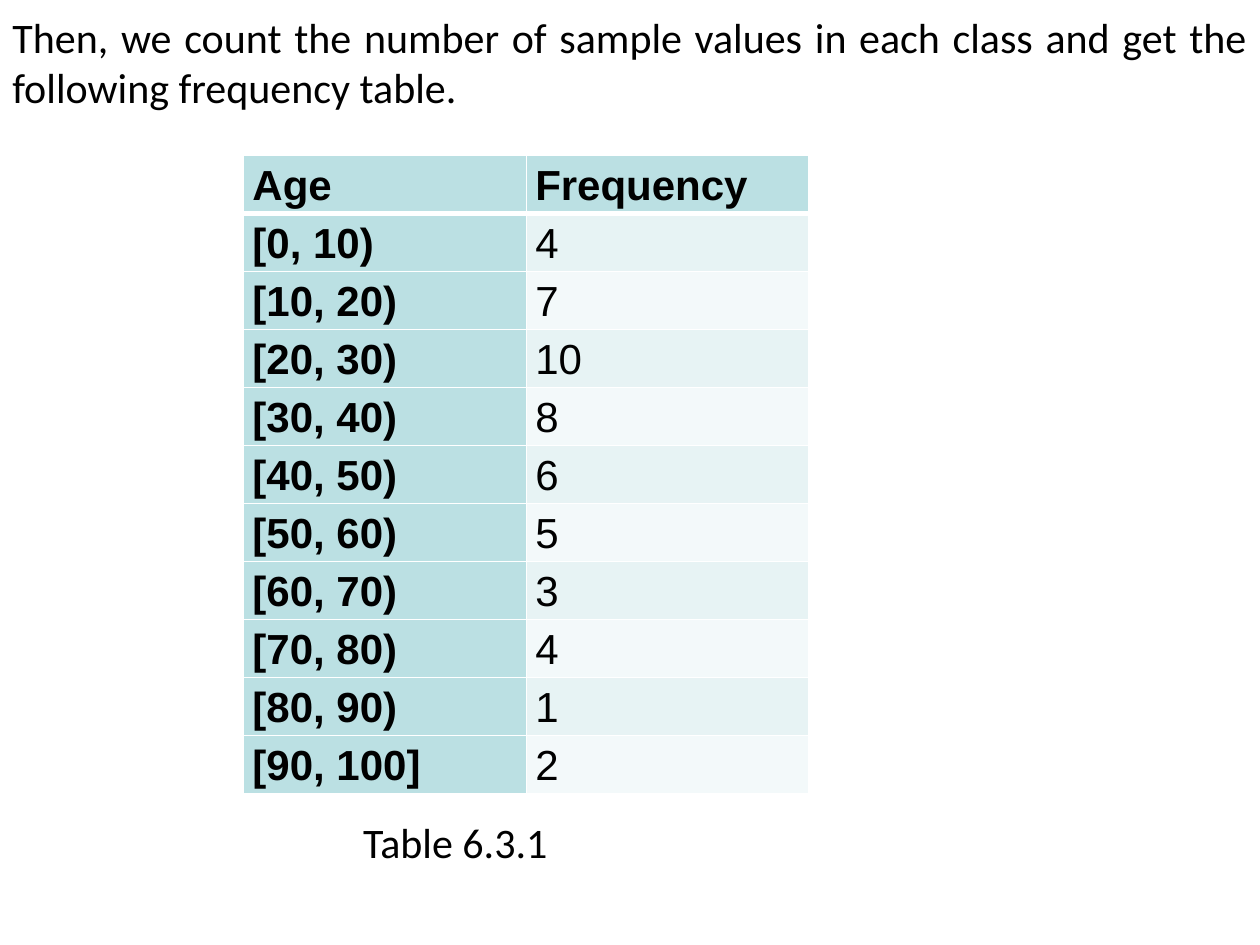
"""Build a slide showing an age frequency table with its introduction and caption."""
from lxml import etree
from pptx import Presentation
from pptx.dml.color import RGBColor
from pptx.enum.text import MSO_AUTO_SIZE, PP_ALIGN
from pptx.oxml.ns import qn
from pptx.util import Cm, Pt

JUSTIFY = PP_ALIGN.JUSTIFY
CENTER = PP_ALIGN.CENTER
FIT_SHAPE = MSO_AUTO_SIZE.SHAPE_TO_FIT_TEXT
BLACK, WHITE = "000000", "FFFFFF"
HEADER_FILL = "BBE0E3"
BAND_FILLS = ["F3F9FA", "E7F3F4"]


def color(hex_string):
    return RGBColor.from_string(hex_string)


def write(paragraph, text, font_name, alignment, bold=False):
    paragraph.alignment = alignment
    run = paragraph.add_run()
    run.text = text
    run.font.name = font_name
    run.font.size = Pt(24)
    run.font.bold = bold
    run.font.color.rgb = color(BLACK)


presentation = Presentation()
presentation.slide_width = Cm(25.4)
presentation.slide_height = Cm(19.05)
slide = presentation.slides.add_slide(presentation.slide_layouts[6])

introduction = (
    "Then, we count the number of sample values in each class "
    "and get the following frequency table."
)
for text, alignment, left, top, width, height in [
    (introduction, JUSTIFY, 0, 0.1, 25.4, 2.31),
    ("Table 6.3.1", CENTER, 2.69, 16.33, 12.98, 1.27),
]:
    text_box = slide.shapes.add_textbox(Cm(left), Cm(top), Cm(width), Cm(height))
    text_box.text_frame.word_wrap = True
    text_box.text_frame.auto_size = FIT_SHAPE
    write(text_box.text_frame.paragraphs[0], text, "Calibri", alignment)

rows = [
    ("Age", "Frequency"),
    ("[0, 10)", "4"),
    ("[10, 20)", "7"),
    ("[20, 30)", "10"),
    ("[30, 40)", "8"),
    ("[40, 50)", "6"),
    ("[50, 60)", "5"),
    ("[60, 70)", "3"),
    ("[70, 80)", "4"),
    ("[80, 90)", "1"),
    ("[90, 100]", "2"),
]
row_height = Cm(1.17)
table = slide.shapes.add_table(
    len(rows), 2, Cm(4.91), Cm(3.13), Cm(11.4), row_height * len(rows)
).table

for row_index, row in enumerate(rows):
    table.rows[row_index].height = row_height
    for column_index, text in enumerate(row):
        cell = table.cell(row_index, column_index)
        cell.margin_left = cell.margin_right = Cm(0.18)
        cell.margin_top = cell.margin_bottom = 0
        is_header = row_index == 0 or column_index == 0
        paragraph = cell.text_frame.paragraphs[0]
        paragraph.line_spacing = 1.15
        write(paragraph, text, "Arial", JUSTIFY, is_header)

        border_widths = {"a:lnL": 1, "a:lnR": 1, "a:lnT": 1, "a:lnB": 1}
        if row_index == 0:
            border_widths["a:lnB"] = 3
        elif row_index == 1:
            border_widths["a:lnT"] = 3
        properties = cell._tc.get_or_add_tcPr()
        for tag, width in border_widths.items():
            border = etree.SubElement(properties, qn(tag), w=str(Pt(width)))
            border_fill = etree.SubElement(border, qn("a:solidFill"))
            etree.SubElement(border_fill, qn("a:srgbClr"), val=WHITE)
        cell.fill.solid()
        fill = HEADER_FILL if is_header else BAND_FILLS[row_index % 2]
        cell.fill.fore_color.rgb = color(fill)
        properties.append(properties.find(qn("a:solidFill")))

presentation.save("out.pptx")
